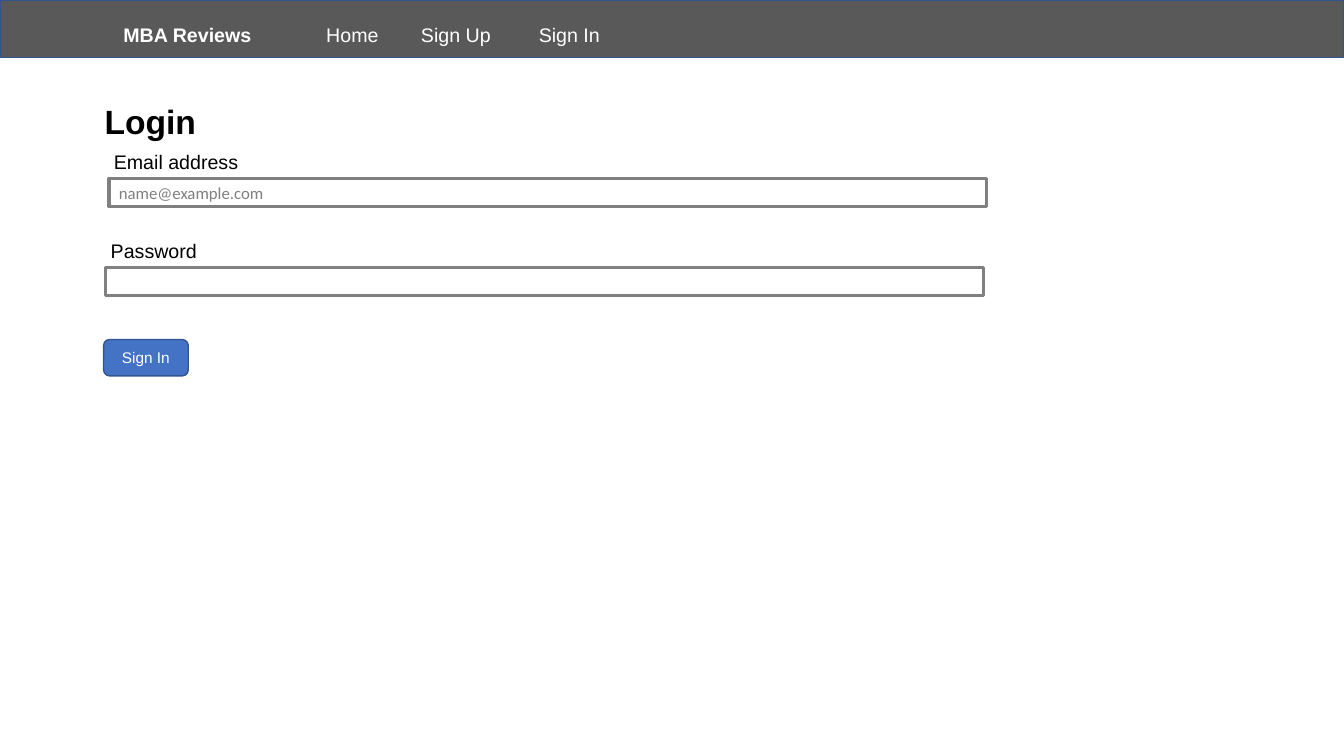
from pptx import Presentation
from pptx.dml.color import RGBColor
from pptx.enum.shapes import MSO_SHAPE
from pptx.enum.text import MSO_ANCHOR, PP_ALIGN
from pptx.util import Pt

RECT, ROUNDED = MSO_SHAPE.RECTANGLE, MSO_SHAPE.ROUNDED_RECTANGLE
LEFT, CENTER = PP_ALIGN.LEFT, PP_ALIGN.CENTER
TOP, MIDDLE = MSO_ANCHOR.TOP, MSO_ANCHOR.MIDDLE
WHITE, BLACK, GRAY, DARK = "FFFFFF", "000000", "808080", "595959"
BLUE, NAVY = "4472C4", "325491"

# Content
BRAND = "MBA Reviews"
NAV_LINKS = [("Home", 67), ("Sign Up", 81), ("Sign In", 81)]  # text, width
HEADING = "Login"
FIELDS = [  # label, placeholder, left, top of the input box
    ("Email address", "name@example.com", 77.8, 127.4),
    ("Password", "", 75.6, 190.8),
]
BUTTON = "Sign In"

# Layout in points
SLIDE_W, SLIDE_H = 960, 540
NAV_TOP, NAV_LEFT, LINE_H = 13, 218.2, 24.5
INPUT_W, INPUT_H = 627, 20.2
LABEL_DX, LABEL_DY = -3.6, -23.7

prs = Presentation()
prs.slide_width, prs.slide_height = Pt(SLIDE_W), Pt(SLIDE_H)
s = prs.slides.add_slide(prs.slide_layouts[6])


def rgb(color):
    return RGBColor.from_string(color)


def add_text(sp, text, size=14, color=BLACK, bold=False, font="Arial",
             align=LEFT, anchor=TOP):
    tf = sp.text_frame
    tf.word_wrap = True
    tf.vertical_anchor = anchor
    p = tf.paragraphs[0]
    p.alignment = align
    r = p.add_run()
    r.text = text
    r.font.size, r.font.bold, r.font.name = Pt(size), bold, font
    r.font.color.rgb = rgb(color)


def add_label(text, x, y, w, h=LINE_H, **fmt):
    add_text(s.shapes.add_textbox(Pt(x), Pt(y), Pt(w), Pt(h)), text, **fmt)


def add_box(kind, x, y, w, h, line, weight=1, fill=None):
    sp = s.shapes.add_shape(kind, Pt(x), Pt(y), Pt(w), Pt(h))
    sp.shadow.inherit = False
    if fill:
        sp.fill.solid()
        sp.fill.fore_color.rgb = rgb(fill)
    else:
        sp.fill.background()
    sp.line.color.rgb = rgb(line)
    sp.line.width = Pt(weight)
    return sp


# Navigation bar
add_box(RECT, 0, 0, SLIDE_W, 41, NAVY, fill=DARK)
add_label(BRAND, 81, NAV_TOP, 143, color=WHITE, bold=True)
x = NAV_LEFT
for text, width in NAV_LINKS:
    add_label(text, x, NAV_TOP, width, color=WHITE, align=CENTER)
    x += width

# Login form
add_label(HEADING, 67.7, 68.4, 498, 36, size=24, bold=True)
for label, placeholder, left, top in FIELDS:
    field = add_box(RECT, left, top, INPUT_W, INPUT_H, GRAY, weight=2.25)
    if placeholder:
        add_text(field, placeholder, size=12, color=GRAY, font="Calibri",
                 anchor=MIDDLE)
    add_label(label, left + LABEL_DX, top + LABEL_DY, 231)

# Submit button
button = add_box(ROUNDED, 74, 242.5, 60.5, 26, NAVY, fill=BLUE)
add_text(button, BUTTON, size=11, color=WHITE, align=CENTER, anchor=MIDDLE)

prs.save("out.pptx")
